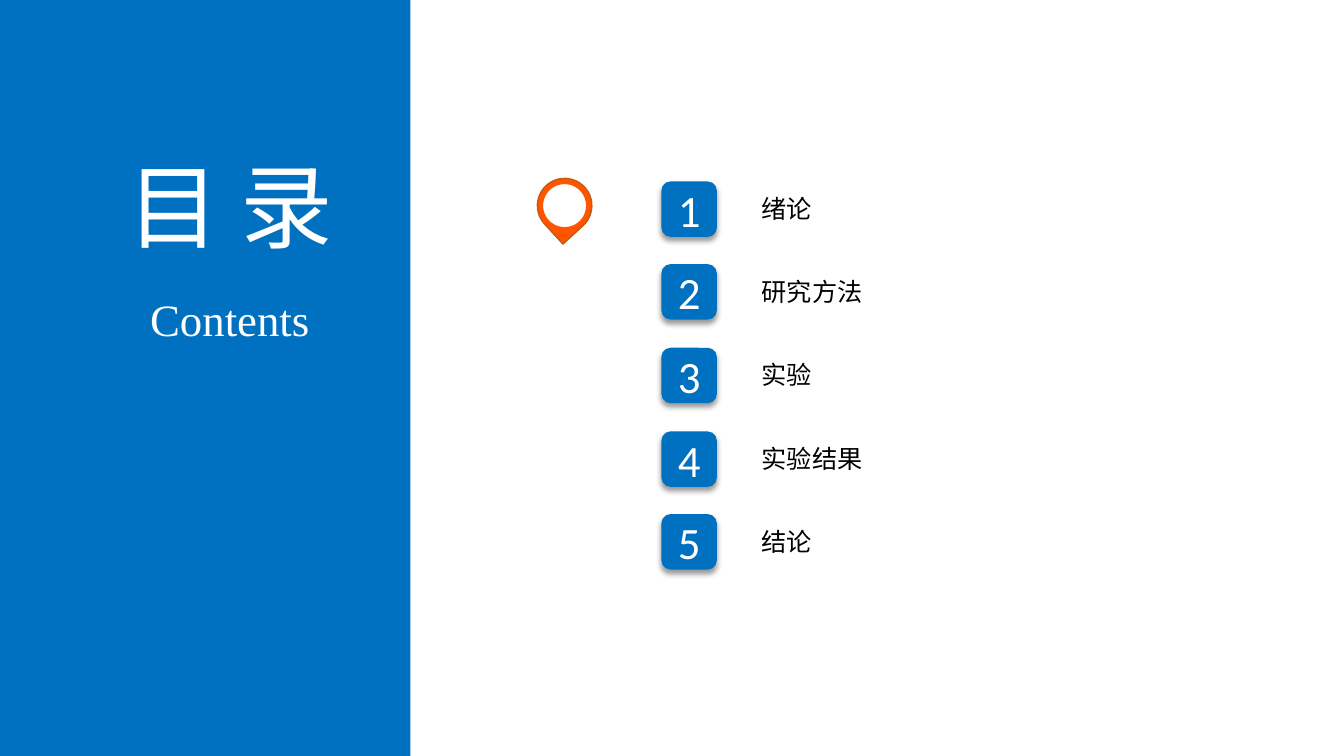
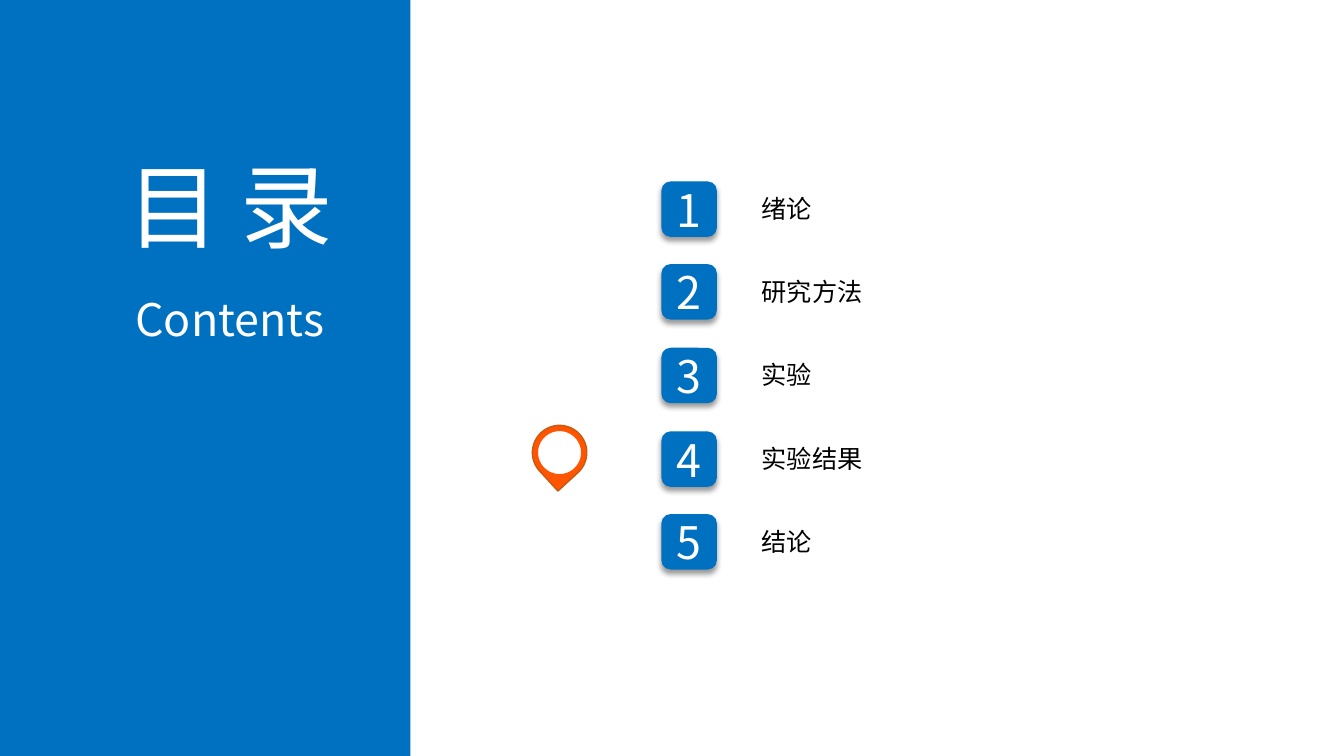
import pptx
import pptx.util
import pptx.dml.color
import pptx.enum.shapes
import pptx.enum.text
import pptx.oxml
import pptx.oxml.ns

PX = 9144  # EMU per px, 100 px to the inch
SLIDE_WIDTH, SLIDE_HEIGHT = 1333, 750

BLUE = pptx.dml.color.RGBColor(0x00, 0x70, 0xC0)
ORANGE = pptx.dml.color.RGBColor(0xFF, 0x54, 0x00)
BROWN = pptx.dml.color.RGBColor(0xC5, 0x5A, 0x11)
WHITE = pptx.dml.color.RGBColor(0xFF, 0xFF, 0xFF)
BLACK = pptx.dml.color.RGBColor(0x00, 0x00, 0x00)

SANS = "Noto Sans CJK SC"
SERIF = "Times New Roman"
NUMBER_FONT = "Calibri"

CHAPTERS = ["绪论", "研究方法", "实验", "实验结果", "结论"]
PANEL = (0, 0, 407, SLIDE_HEIGHT)
AGENDA = (656, 180, 265, 385)
TILE = 55

SHADOW = (
    '<a:effectLst %s><a:outerShdw blurRad="50800" dist="38100" dir="5400000"'
    ' rotWithShape="0"><a:srgbClr val="000000"><a:alpha val="40000"/>'
    "</a:srgbClr></a:outerShdw></a:effectLst>" % pptx.oxml.ns.nsdecls("a")
)


def px(*lengths):
    return [pptx.util.Emu(length * PX) for length in lengths]


def write(shape, text, size, font, color):
    frame = shape.text_frame
    frame.text = text
    paragraph = frame.paragraphs[0]
    paragraph.alignment = pptx.enum.text.PP_ALIGN.CENTER
    run = paragraph.runs[0]
    run.font.size = pptx.util.Pt(size)
    run.font.name = font
    run.font.color.rgb = color
    # East Asian characters take their font from a:ea
    east_asian = pptx.oxml.parse_xml("<a:ea %s/>" % pptx.oxml.ns.nsdecls("a"))
    east_asian.set("typeface", font)
    run.font._element.append(east_asian)


def add_text(slide, box, text, size, font, color):
    shape = slide.shapes.add_textbox(*px(*box))
    shape.text_frame.word_wrap = False
    shape.text_frame.auto_size = pptx.enum.text.MSO_AUTO_SIZE.SHAPE_TO_FIT_TEXT
    write(shape, text, size, font, color)


def add_block(shapes, kind, box, fill, line=None):
    shape = shapes.add_shape(kind, *px(*box))
    shape.shadow.inherit = False
    shape.fill.solid()
    shape.fill.fore_color.rgb = fill
    if line is None:
        shape.line.fill.background()
    else:
        shape.line.color.rgb = line
        shape.line.width = pptx.util.Pt(1)
    return shape


def add_title_panel(slide, box, subtitle_font):
    left, top, width, height = box
    add_block(slide.shapes, pptx.enum.shapes.MSO_SHAPE.RECTANGLE, box, BLUE)
    text_left, text_width = left + 102, width - 155
    add_text(slide, (text_left, top + 143, text_width, 121), "目 录", 66, SANS, WHITE)
    add_text(slide, (text_left, top + 284, text_width, 64), "Contents", 32,
             subtitle_font, WHITE)


def add_agenda(slide, box, number_font):
    left, top, width, height = box
    gaps = len(CHAPTERS) - 1
    for index, chapter in enumerate(CHAPTERS):
        tile_top = top + round((height - TILE) * index / gaps)
        # Numbered tile
        tile = add_block(slide.shapes, pptx.enum.shapes.MSO_SHAPE.ROUNDED_RECTANGLE,
                         (left, tile_top, TILE, TILE), BLUE)
        properties = tile._element.spPr
        properties.remove(properties.find(pptx.oxml.ns.qn("a:effectLst")))
        properties.append(pptx.oxml.parse_xml(SHADOW))
        tile.text_frame.vertical_anchor = pptx.enum.text.MSO_ANCHOR.MIDDLE
        write(tile, str(index + 1), 32, number_font, WHITE)
        # Chapter name, 25 px a character plus the insets
        label_box = (left + 89, tile_top + 7, 21 + 25 * len(chapter), 40)
        add_text(slide, label_box, chapter, 18, SANS, BLACK)


def add_pin(slide, left, top):
    pin = slide.shapes.add_group_shape()
    drop = add_block(pin.shapes, pptx.enum.shapes.MSO_SHAPE.TEAR,
                     (left, top, 54, 54), ORANGE, BROWN)
    drop.rotation = 137.5
    add_block(pin.shapes, pptx.enum.shapes.MSO_SHAPE.OVAL,
              (left + 5, top + 5, 44, 44), WHITE, ORANGE)


def add_contents_slide(presentation, subtitle_font, number_font, pin_at):
    slide = presentation.slides.add_slide(presentation.slide_layouts[6])
    add_agenda(slide, AGENDA, number_font)
    add_title_panel(slide, PANEL, subtitle_font)
    add_pin(slide, *pin_at)


def main():
    presentation = pptx.Presentation()
    presentation.slide_width, presentation.slide_height = px(SLIDE_WIDTH, SLIDE_HEIGHT)
    add_contents_slide(presentation, SERIF, NUMBER_FONT, (533, 177))
    add_contents_slide(presentation, SANS, SANS, (528, 422))
    presentation.save("out.pptx")


if __name__ == "__main__":
    main()
